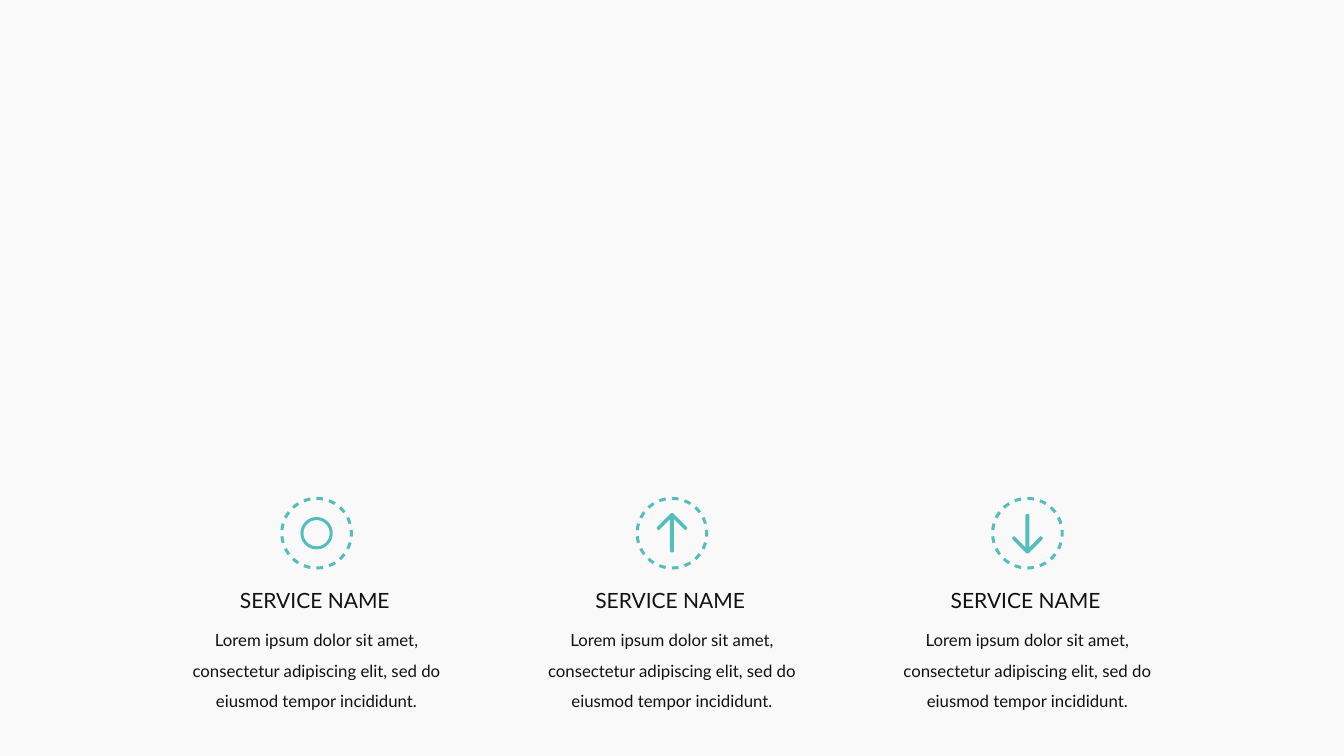
from math import cos, radians, sin

from pptx import Presentation
from pptx import util as u
from pptx.dml.color import RGBColor
from pptx.enum import text
from pptx.util import Inches

THEME = {
    "background": RGBColor.from_string("F9F9F9"),
    "accent": RGBColor.from_string("56BDBD"),
    "ink": RGBColor.from_string("111111"),
    "font": "Lato",
    "name_size": u.Pt(15),
    "body_size": u.Pt(12),
}
BODY = ("Lorem ipsum dolor sit amet, consectetur adipiscing elit, "
        "sed do eiusmod tempor incididunt.")


def arc(radius, start, end, steps):
    """Points on a circle around the icon centre, angles in degrees."""
    angles = [radians(start + (end - start) * i / steps) for i in range(steps + 1)]
    return [(radius * cos(a), radius * sin(a)) for a in angles]


def add_label(s, left, top, width, height, words, size, wrap):
    tf = s.shapes.add_textbox(
        Inches(left), Inches(top), Inches(width), Inches(height)).text_frame
    tf.margin_left = tf.margin_right = tf.margin_top = tf.margin_bottom = 0
    tf.word_wrap = wrap
    tf.auto_size = text.MSO_AUTO_SIZE.SHAPE_TO_FIT_TEXT
    p = tf.paragraphs[0]
    p.text = words
    p.font.name = THEME["font"]
    p.font.size = size
    p.font.color.rgb = THEME["ink"]
    return p


prs = Presentation()
prs.slide_width, prs.slide_height = Inches(13.33), Inches(7.5)
s = prs.slides.add_slide(prs.slide_layouts[6])
s.background.fill.solid()
s.background.fill.fore_color.rgb = THEME["background"]

# Dashed ring: 17 equal dashes
DASHES = 17
ring = []
for i in range(DASHES):
    mid = 360 * i / DASHES
    ring.append(arc(0.36, mid - 5.5, mid + 5.5, 4) + arc(0.33, mid + 5.5, mid - 5.5, 4))

# Icon glyphs, relative to the icon centre
circle = [arc(0.16, 0, 360, 48), arc(0.13, 360, 0, 48)]
right_half = [(0.01, -0.2), (0.15, -0.06), (0.15, -0.04), (0.13, -0.03),
              (0.02, -0.14), (0.02, 0.18), (0.01, 0.19)]
up_arrow = [right_half + [(-x, y) for x, y in reversed(right_half)]]
down_arrow = [[(x, -y) for x, y in up_arrow[0]]]

# Three service columns
CENTER_X, CENTER_Y, PITCH = 3.14, 5.29, 3.525
for i, glyph in enumerate((circle, up_arrow, down_arrow)):
    cx = CENTER_X + i * PITCH

    # Icon
    outlines = [[(Inches(cx + x), Inches(CENTER_Y + y)) for x, y in outline]
                for outline in ring + glyph]
    icon = s.shapes.build_freeform(*outlines[0][0])
    for outline in outlines:
        icon.move_to(*outline[0])
        icon.add_line_segments(outline[1:], close=True)
    sp = icon.convert_to_shape()
    sp.shadow.inherit = False
    sp.fill.solid()
    sp.fill.fore_color.rgb = THEME["accent"]
    sp.line.fill.background()

    # Name and description
    add_label(s, cx - 0.76, 5.83, 1.53, 0.25, "SERVICE NAME", THEME["name_size"], False)
    p = add_label(s, cx - 1.31, 6.15, 2.62, 0.91, BODY, THEME["body_size"], True)
    p.alignment = text.PP_ALIGN.CENTER
    p.line_spacing = 1.5

prs.save("out.pptx")
